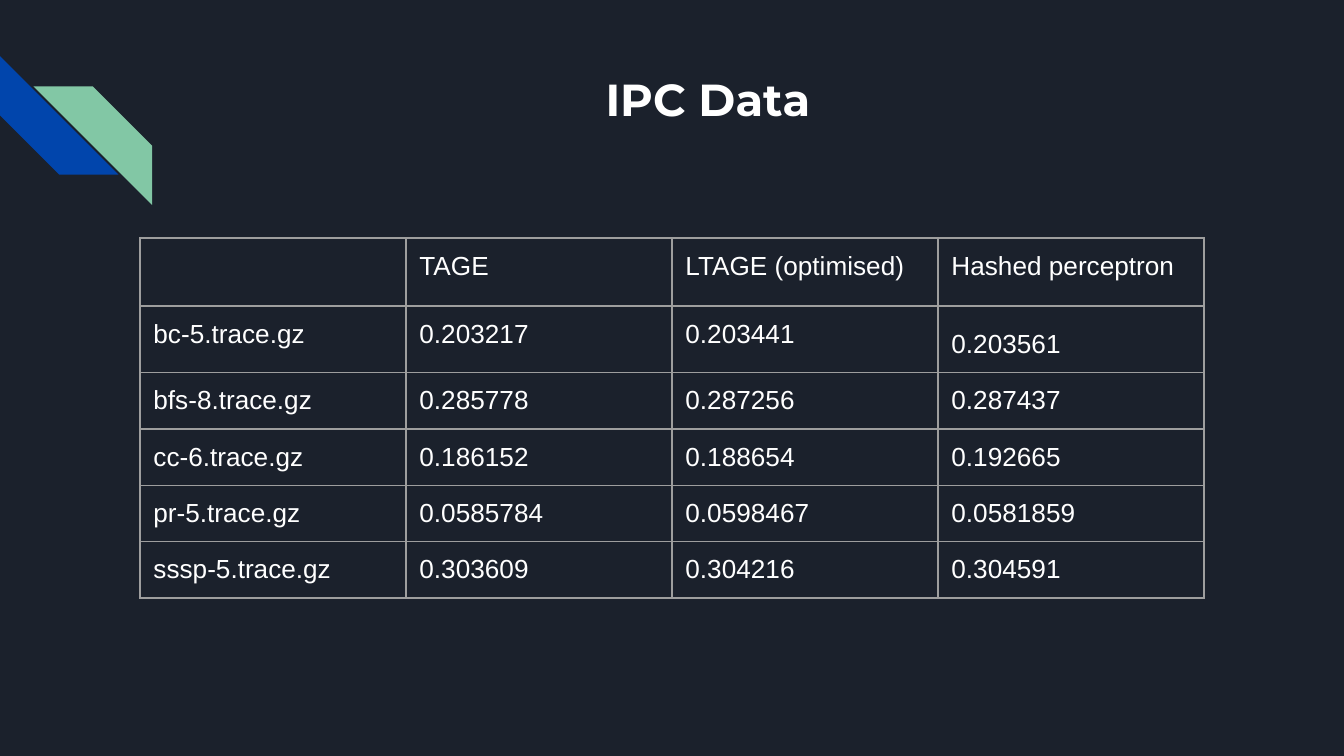
from lxml.etree import SubElement
from pptx import Presentation
from pptx.dml.color import RGBColor
from pptx.enum.shapes import MSO_SHAPE as Shape
from pptx.enum.text import MSO_ANCHOR as Anchor, PP_ALIGN as Align
from pptx.oxml.ns import qn
from pptx.util import Pt

# Content
TITLE = "IPC Data"
ROWS = [
    ("", "TAGE", "LTAGE (optimised)", "Hashed perceptron"),
    ("bc-5.trace.gz", "0.203217", "0.203441", "0.203561"),
    ("bfs-8.trace.gz", "0.285778", "0.287256", "0.287437"),
    ("cc-6.trace.gz", "0.186152", "0.188654", "0.192665"),
    ("pr-5.trace.gz", "0.0585784", "0.0598467", "0.0581859"),
    ("sssp-5.trace.gz", "0.303609", "0.304216", "0.304591"),
]
LINE_SPACING = {(1, 3): 1.36}

# Format
BACKGROUND, BLUE, GREEN = "1B212C", "0145AC", "82C7A5"
WHITE, GREY = "FFFFFF", "9E9E9E"
INSET = 7.2
TABLE_LEFT, TABLE_TOP = 75, 127.5
COLUMN_WIDTH, ROW_HEIGHT = 142.5, 30
STRIPE_SIZE = 63.5


def paint(fill, color):
    fill.solid()
    fill.fore_color.rgb = RGBColor.from_string(color)


def write(frame, text, size=14, font="Arial", color=WHITE, bold=False,
          align=Align.LEFT, spacing=None):
    para = frame.paragraphs[0]
    para.alignment = align
    para.line_spacing = spacing
    span = para.add_run()
    span.text = text
    span.font.size = Pt(size)
    span.font.name = font
    span.font.bold = bold
    span.font.color.rgb = RGBColor.from_string(color)


def set_insets(holder):
    for side in ("left", "top", "right", "bottom"):
        setattr(holder, f"margin_{side}", Pt(INSET))


def add_stripe(page, left, top, color):
    stripe = page.shapes.add_shape(Shape.DIAGONAL_STRIPE, Pt(left), Pt(top),
                                   Pt(STRIPE_SIZE), Pt(STRIPE_SIZE))
    stripe.shadow.inherit = False
    paint(stripe.fill, color)
    stripe.line.fill.background()
    return stripe


def add_borders(cell, color, width):
    properties = cell._tc.get_or_add_tcPr()
    for index, tag in enumerate(("a:lnL", "a:lnR", "a:lnT", "a:lnB")):
        line = SubElement(properties, qn(tag), w=str(Pt(width)))
        fill = SubElement(line, qn("a:solidFill"))
        SubElement(fill, qn("a:srgbClr"), val=color)
        properties.insert(index, line)  # borders come before the cell fill


# Page
deck = Presentation()
deck.slide_width, deck.slide_height = Pt(720), Pt(405)
page = deck.slides.add_slide(deck.slide_layouts[5])
paint(page.background.fill, BACKGROUND)

# Corner stripes
add_stripe(page, 0, 30, BLUE).rotation = 270
green_stripe = add_stripe(page, 18, 46.25, GREEN)
green_stripe._element.spPr.xfrm.set("flipH", "1")

# Title
title = page.shapes.title
title.left, title.top, title.width, title.height = Pt(102), Pt(31), Pt(554.5), Pt(72)
title.text_frame.vertical_anchor = Anchor.TOP
title.text_frame.word_wrap = True
set_insets(title.text_frame)
write(title.text_frame, TITLE, size=24, font="Montserrat", bold=True,
      align=Align.CENTER)

# Table
row_count, column_count = len(ROWS), len(ROWS[0])
table = page.shapes.add_table(
    row_count, column_count, Pt(TABLE_LEFT), Pt(TABLE_TOP),
    Pt(COLUMN_WIDTH * column_count), Pt(ROW_HEIGHT * row_count)).table
table.first_row = table.horz_banding = False
for r, values in enumerate(ROWS):
    for c, value in enumerate(values):
        cell = table.cell(r, c)
        set_insets(cell)
        cell.fill.background()
        add_borders(cell, GREY, 0.75)
        if value:
            write(cell.text_frame, value, spacing=LINE_SPACING.get((r, c)))

deck.save("out.pptx")
